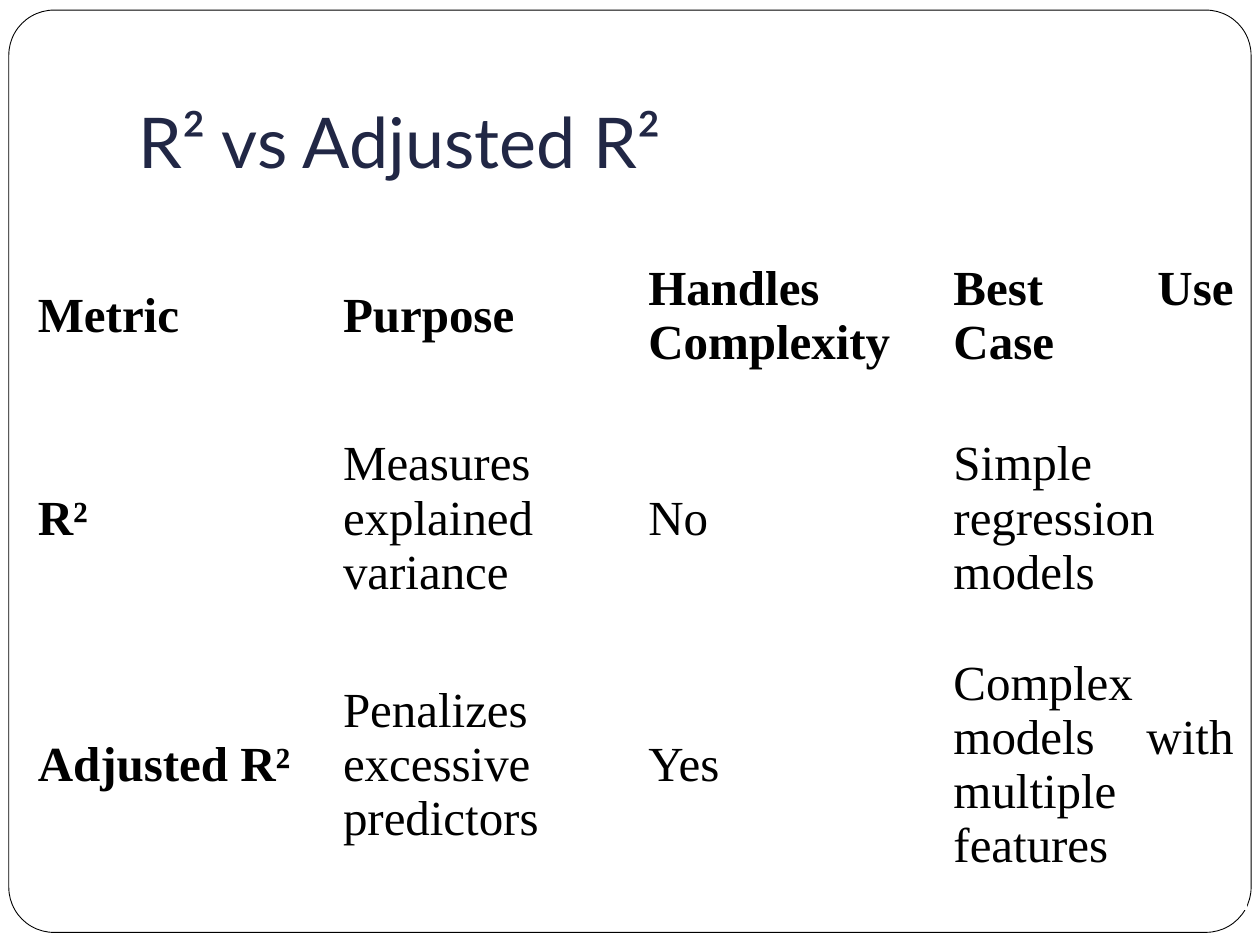
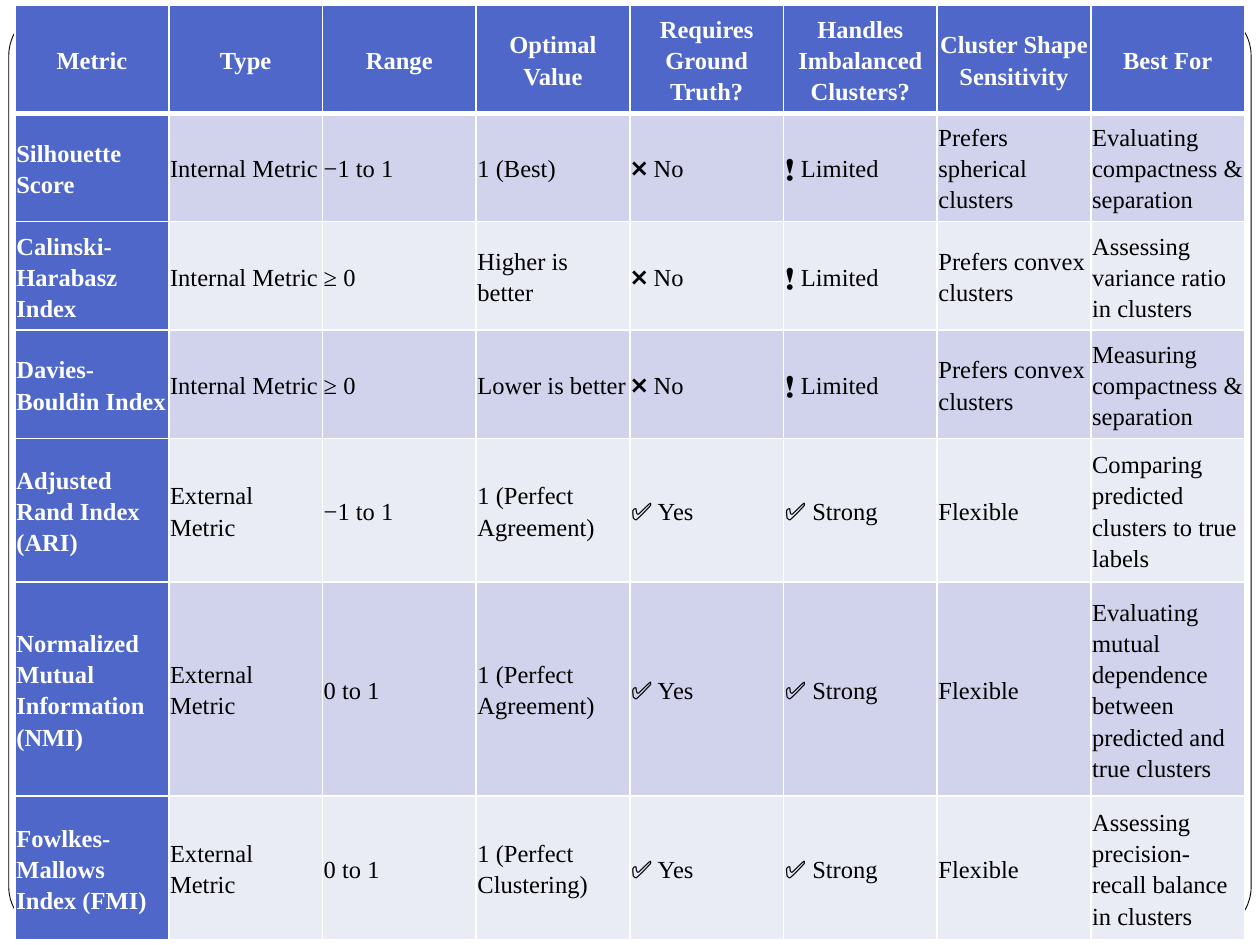
from lxml import etree
from pptx import Presentation
from pptx.dml.color import RGBColor
from pptx.enum.shapes import MSO_SHAPE
from pptx.enum.text import MSO_ANCHOR, PP_ALIGN
from pptx.oxml.ns import qn
from pptx.util import Inches, Pt

ROUNDED = MSO_SHAPE.ROUNDED_RECTANGLE
MIDDLE, BOTTOM = MSO_ANCHOR.MIDDLE, MSO_ANCHOR.BOTTOM
LEFT, CENTER, JUSTIFY = PP_ALIGN.LEFT, PP_ALIGN.CENTER, PP_ALIGN.JUSTIFY

WIDTH, HEIGHT = 10, 7.5
BLACK, WHITE, NAVY = "000000", "FFFFFF", "212745"
BLUE, BANDS = "4E67C8", ("D0D3EB", "E9EBF5")
TITLE_FONT, TABLE_FONT = "Lato", "Times New Roman"


def write(frame, text, size, color, font=TABLE_FONT, bold=False, align=LEFT, spacing=None):
    """Put one formatted paragraph into a text frame."""
    frame.word_wrap = True
    para = frame.paragraphs[0]
    para.alignment = align
    para.line_spacing = spacing
    span = para.add_run()
    span.text = text
    span.font.size = Pt(size)
    span.font.name = font
    span.font.bold = bold
    span.font.color.rgb = RGBColor.from_string(color)


def set_borders(cell, color, **widths):
    """Draw cell borders; the widths are in points, keyed L, R, T, B."""
    properties = cell._tc.get_or_add_tcPr()
    for index, (side, width) in enumerate(widths.items()):
        line = etree.Element(qn(f"a:ln{side}"), w=str(Pt(width)))
        fill = etree.SubElement(line, qn("a:solidFill"))
        etree.SubElement(fill, qn("a:srgbClr"), val=color)
        properties.insert(index, line)


# Content of the two slides
comparison = [
    ("Metric", "Purpose", "Handles Complexity", "Best Use Case"),
    ("R²", "Measures explained variance", "No", "Simple regression models"),
    ("Adjusted R²", "Penalizes excessive predictors", "Yes",
     "Complex models with multiple features"),
]
cluster_metrics = [
    ("Metric", "Type", "Range", "Optimal Value", "Requires Ground Truth?",
     "Handles Imbalanced Clusters?", "Cluster Shape Sensitivity", "Best For"),
    ("Silhouette Score", "Internal Metric", "−1 to 1", "1 (Best)", "❌ No", "❗ Limited",
     "Prefers spherical clusters", "Evaluating compactness & separation"),
    ("Calinski-Harabasz Index", "Internal Metric", "≥ 0", "Higher is better", "❌ No",
     "❗ Limited", "Prefers convex clusters", "Assessing variance ratio in clusters"),
    ("Davies-Bouldin Index", "Internal Metric", "≥ 0", "Lower is better", "❌ No",
     "❗ Limited", "Prefers convex clusters", "Measuring compactness & separation"),
    ("Adjusted Rand Index (ARI)", "External Metric", "−1 to 1", "1 (Perfect Agreement)",
     "✅ Yes", "✅ Strong", "Flexible", "Comparing predicted clusters to true labels"),
    ("Normalized Mutual Information (NMI)", "External Metric", "0 to 1",
     "1 (Perfect Agreement)", "✅ Yes", "✅ Strong", "Flexible",
     "Evaluating mutual dependence between predicted and true clusters"),
    ("Fowlkes-Mallows Index (FMI)", "External Metric", "0 to 1", "1 (Perfect Clustering)",
     "✅ Yes", "✅ Strong", "Flexible", "Assessing precision-recall balance in clusters"),
]

# Title, rows, left, top, table width, row heights, banded
pages = [
    ("R² vs Adjusted R²", comparison, 0.2, 1.7, 9.69, [1.61, 1.61, 2.3], False),
    (None, cluster_metrics, 0.12, 0.04, 9.76, [0.86] * 4 + [1.14, 1.7, 1.14], True),
]

deck = Presentation()
deck.slide_width, deck.slide_height = Inches(WIDTH), Inches(HEIGHT)

for title, rows, left, top, width, heights, banded in pages:
    page = deck.slides.add_slide(deck.slide_layouts[6])

    # Rounded page frame
    frame = page.shapes.add_shape(ROUNDED, Inches(0.07), Inches(0.08),
                                  Inches(WIDTH - 0.14), Inches(7.32))
    frame.adjustments[0] = 0.049
    frame.shadow.inherit = False
    frame.fill.solid()
    frame.fill.fore_color.rgb = RGBColor.from_string(WHITE)
    frame.line.color.rgb = RGBColor.from_string(BLACK)
    frame.line.width = Pt(0.5)

    # Title
    if title:
        box = page.shapes.add_textbox(Inches(1), Inches(0.3), Inches(8.5), Inches(1.25))
        box.text_frame.vertical_anchor = BOTTOM
        box.text_frame.margin_bottom = Inches(0.1)
        write(box.text_frame, title, 40, NAVY, font=TITLE_FONT)

    # Table
    columns = len(rows[0])
    table = page.shapes.add_table(len(rows), columns, Inches(left), Inches(top),
                                  Inches(width), Inches(sum(heights))).table
    table.horz_banding = table.first_row = False
    for column in table.columns:
        column.width = Inches(width / columns)
    for row, (texts, height) in enumerate(zip(rows, heights)):
        table.rows[row].height = Inches(height)
        for col, text in enumerate(texts):
            cell = table.cell(row, col)
            cell.vertical_anchor = MIDDLE
            heading = row == 0 or col == 0
            if not banded:
                cell.fill.background()
                write(cell.text_frame, text, 28, BLACK, bold=heading, align=JUSTIFY)
                continue
            cell.margin_left = cell.margin_right = Inches(0.01)
            cell.margin_top = cell.margin_bottom = Inches(0.01)
            cell.fill.solid()
            cell.fill.fore_color.rgb = RGBColor.from_string(
                BLUE if heading else BANDS[(row - 1) % 2])
            set_borders(cell, WHITE, L=1, R=1, T=3 if row == 1 else 1, B=3 if row == 0 else 1)
            write(cell.text_frame, text, 14, WHITE if heading else BLACK, bold=heading,
                  align=CENTER if row == 0 else LEFT, spacing=1.15)

deck.save("out.pptx")
